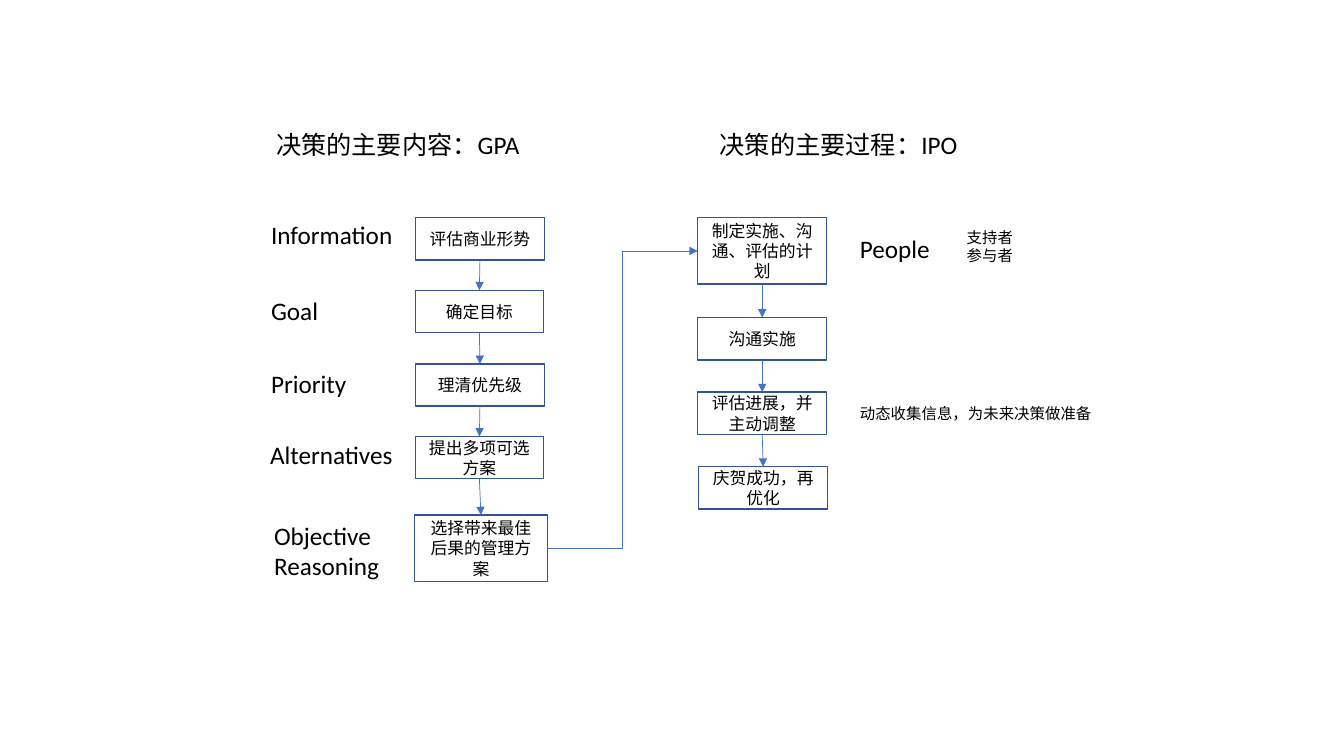
from pptx import Presentation
from pptx.dml.color import RGBColor
from pptx.enum.dml import MSO_LINE
from pptx.enum.shapes import MSO_CONNECTOR, MSO_SHAPE
from pptx.enum.text import MSO_ANCHOR, MSO_AUTO_SIZE, PP_ALIGN
from pptx.oxml.ns import qn
from pptx.util import Pt
from lxml import etree

RECTANGLE = MSO_SHAPE.RECTANGLE
STRAIGHT, ELBOW = MSO_CONNECTOR.STRAIGHT, MSO_CONNECTOR.ELBOW
SOLID = MSO_LINE.SOLID
MIDDLE, CENTER, LEFT = MSO_ANCHOR.MIDDLE, PP_ALIGN.CENTER, PP_ALIGN.LEFT
FIT_TEXT = MSO_AUTO_SIZE.SHAPE_TO_FIT_TEXT
TOP_SIDE, LEFT_SIDE, BOTTOM_SIDE, RIGHT_SIDE = range(4)
BLANK_LAYOUT = 6

PX = 9144  # 100 px to the inch

THEME = {
    "font": "Calibri",
    "text": RGBColor(0x00, 0x00, 0x00),
    "box_line": RGBColor(0x32, 0x54, 0x91),
    "arrow": RGBColor(0x44, 0x72, 0xC4),
    "label": Pt(18),
    "step": Pt(12),
    "note": Pt(11),
    "box_width": Pt(1),
    "arrow_width": Pt(0.5),
}

# left, top, width, height, text
CONTENT_STEPS = [
    (412, 216, 128, 42, "评估商业形势"),
    (412, 288, 127, 42, "确定目标"),
    (412, 361, 128, 42, "理清优先级"),
    (412, 433, 127, 42, "提出多项可选方案"),
    (411, 511, 132, 66, "选择带来最佳后果的管理方案"),
]
PROCESS_STEPS = [
    (692, 216, 128, 66, "制定实施、沟通、评估的计划"),
    (692, 315, 128, 42, "沟通实施"),
    (692, 389, 128, 42, "评估进展，并主动调整"),
    (693, 463, 128, 42, "庆贺成功，再优化"),
]
LABELS = [
    (264, 123, 300, 40, "决策的主要内容：GPA"),
    (704, 123, 300, 40, "决策的主要过程：IPO"),
    (259, 213, 145, 40, "Information"),
    (259, 288, 113, 40, "Goal"),
    (259, 361, 113, 40, "Priority"),
    (258, 431, 145, 40, "Alternatives"),
    (262, 511, 147, 71, "Objective Reasoning"),
    (843, 227, 147, 40, "People"),
]
NOTES = [
    (843, 396, 252, 29, "动态收集信息，为未来决策做准备"),
    (949, 221, 83, 47, "支持者\n参与者"),
]


def write_text(shape, text, size, alignment, frame_format):
    frame = shape.text_frame
    frame.text = text
    for name, value in frame_format.items():
        setattr(frame, name, value)
    for paragraph in frame.paragraphs:
        paragraph.alignment = alignment
        font = paragraph.runs[0].font
        font.name, font.size = THEME["font"], size
        font.color.rgb = THEME["text"]


def join(start, start_side, end, end_side, kind):
    """Draw an arrow from one step's side to another's."""
    connector = slide.shapes.add_connector(kind, 0, 0, 0, 0)
    connector.begin_connect(start, start_side)
    connector.end_connect(end, end_side)
    connector.line.color.rgb = THEME["arrow"]
    connector.line.width = THEME["arrow_width"]
    connector.line.dash_style = SOLID
    properties = connector._element.spPr
    line = properties.find(qn("a:ln"))
    etree.SubElement(line, qn("a:tailEnd"), type="triangle")
    etree.SubElement(properties, qn("a:effectLst"))


presentation = Presentation()
presentation.slide_width = 1333 * PX
presentation.slide_height = 750 * PX
slide = presentation.slides.add_slide(presentation.slide_layouts[BLANK_LAYOUT])

columns = []
for steps in (CONTENT_STEPS, PROCESS_STEPS):
    boxes = []
    for *place, text in steps:
        box = slide.shapes.add_shape(RECTANGLE, *(length * PX for length in place))
        box.shadow.inherit = False
        box.fill.background()
        box.line.color.rgb = THEME["box_line"]
        box.line.width = THEME["box_width"]
        write_text(box, text, THEME["step"], CENTER,
                   {"word_wrap": True, "vertical_anchor": MIDDLE})
        boxes.append(box)
    columns.append(boxes)

for boxes in columns:
    for upper, lower in zip(boxes, boxes[1:]):
        join(upper, BOTTOM_SIDE, lower, TOP_SIDE, STRAIGHT)

content_boxes, process_boxes = columns
join(content_boxes[-1], RIGHT_SIDE, process_boxes[0], LEFT_SIDE, ELBOW)

for texts, size in ((LABELS, THEME["label"]), (NOTES, THEME["note"])):
    for *place, text in texts:
        text_box = slide.shapes.add_textbox(*(length * PX for length in place))
        write_text(text_box, text, size, LEFT,
                   {"word_wrap": True, "auto_size": FIT_TEXT})

presentation.save("out.pptx")
